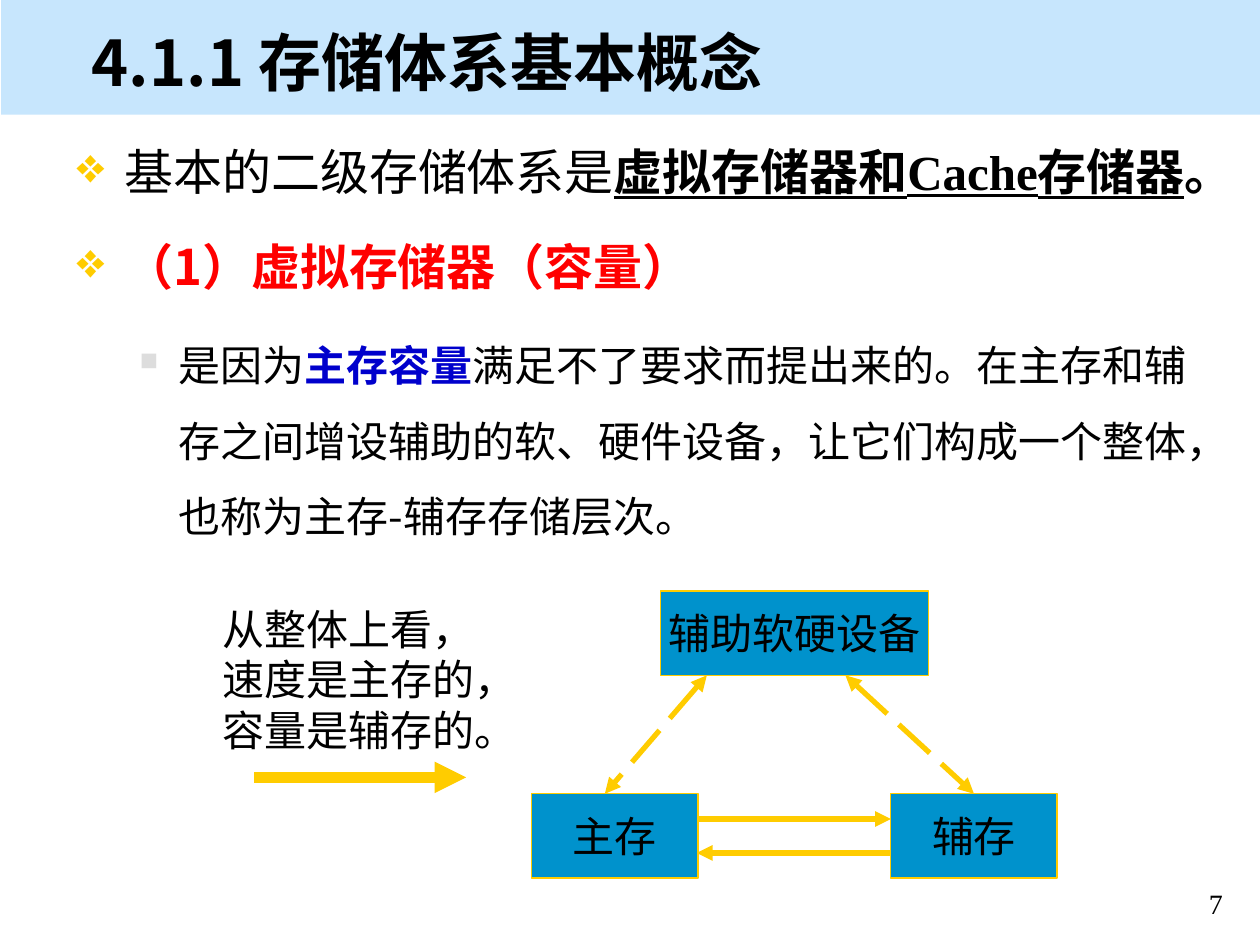
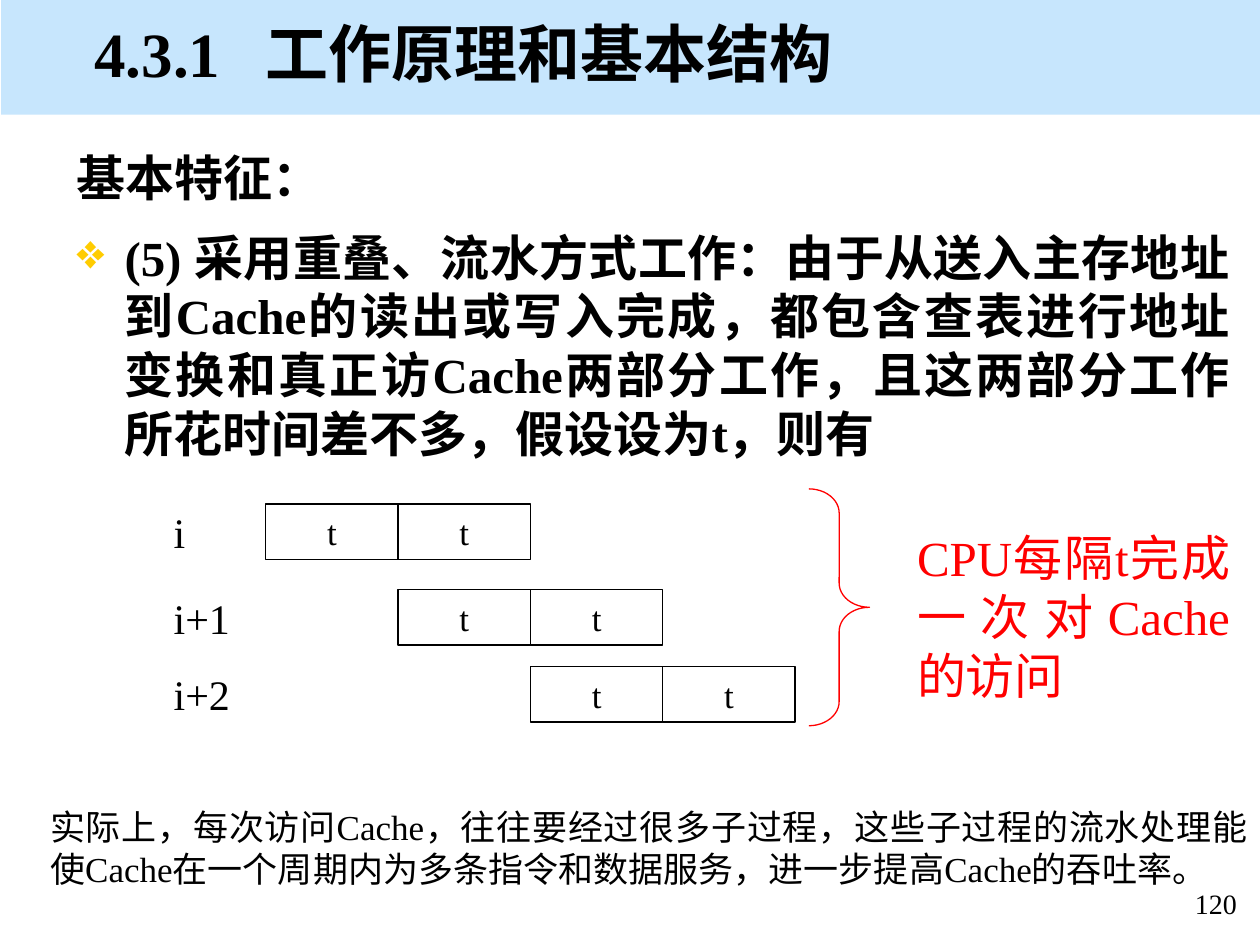
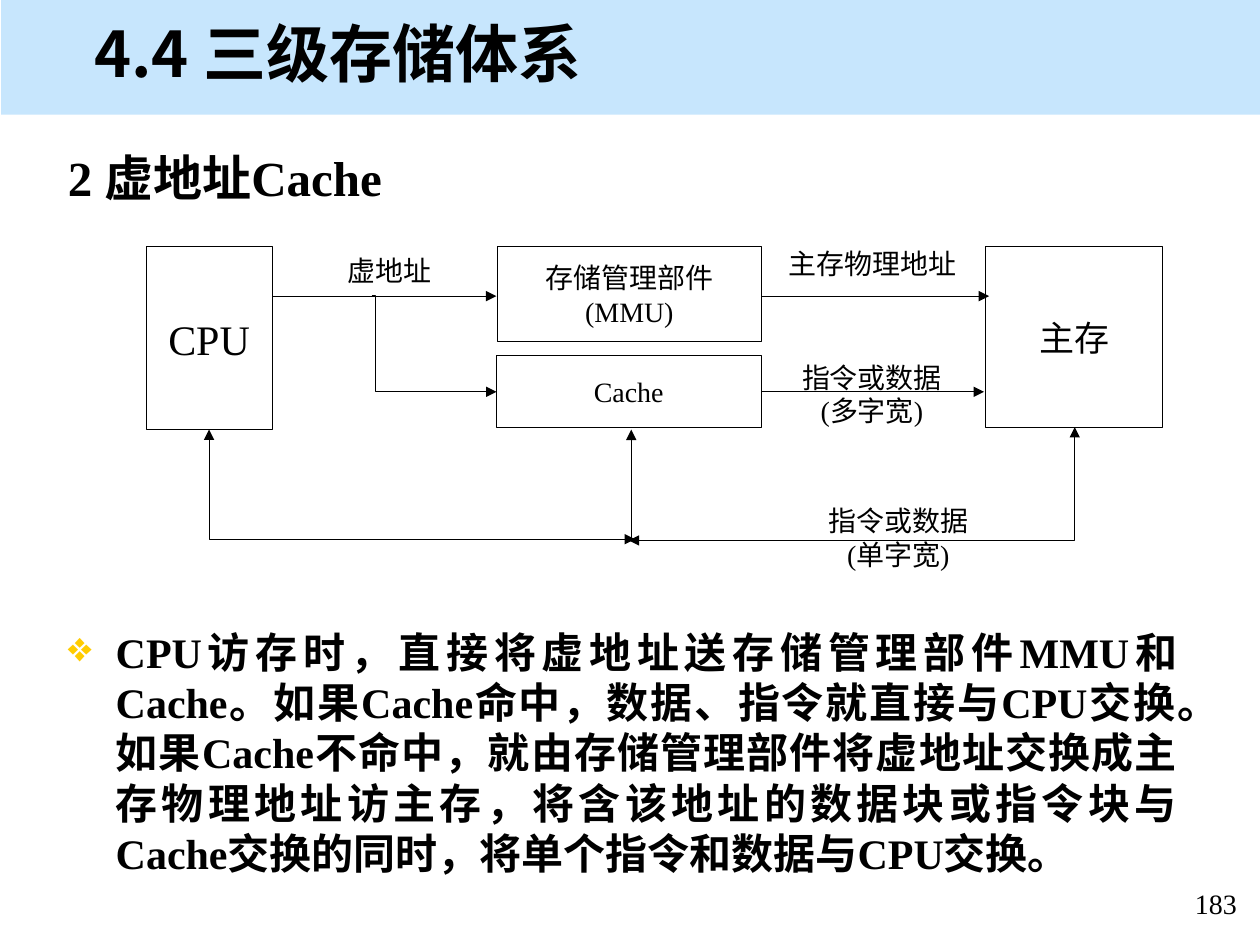
from dataclasses import dataclass
from typing import Optional

from lxml.etree import SubElement
from pptx import Presentation
from pptx.dml.color import RGBColor
from pptx.enum.dml import MSO_LINE_DASH_STYLE as Dash
from pptx.enum.shapes import MSO_CONNECTOR as Connector
from pptx.enum.shapes import MSO_SHAPE as Preset
from pptx.enum.text import MSO_ANCHOR as Anchor
from pptx.enum.text import PP_ALIGN as Align
from pptx.oxml.ns import qn
from pptx.util import Inches, Pt

BLACK = RGBColor(0, 0, 0)
RED = RGBColor(0xFF, 0, 0)
BLUE = RGBColor(0, 0, 0xCC)
GOLD = RGBColor(0xFF, 0xCC, 0)
GREY = RGBColor(0xDD, 0xDD, 0xDD)
BAND = RGBColor(0xC7, 0xE6, 0xFD)
TEAL = RGBColor(0, 0x92, 0xCC)

SERIF = "Times New Roman"
SANS = "Noto Sans CJK SC"
CABIN = "Cabin"
LINE_HEIGHT = 1.2


@dataclass(frozen=True)
class Span:
    text: str
    bold: Optional[bool] = None
    underline: bool = False
    color: Optional[RGBColor] = None
    font: Optional[str] = None


@dataclass(frozen=True)
class Bullet:
    char: str
    color: RGBColor
    left: float
    hanging: float
    percent: int = 100


@dataclass(frozen=True)
class Box:
    left: float
    top: float
    width: float
    height: float
    text: str = ""
    size: int = 16

    @property
    def bounds(self):
        return [Inches(v) for v in (self.left, self.top, self.width, self.height)]


@dataclass(frozen=True)
class Arrow:
    start: tuple[float, float]
    end: tuple[float, float]
    head: bool = False
    tail: bool = True
    dashed: bool = False
    preset: str = "line"
    bend: Optional[float] = None
    weight: Optional[float] = None


DIAMOND = Bullet("❖", GOLD, 0.38, 0.38)
SQUARE = Bullet("■", GREY, 0.81, 0.31, 60)


def add_bullet(paragraph, bullet: Bullet) -> None:
    properties = paragraph._p.get_or_add_pPr()
    properties.set("marL", str(Inches(bullet.left)))
    properties.set("indent", str(-Inches(bullet.hanging)))
    color = SubElement(properties, qn("a:buClr"))
    SubElement(color, qn("a:srgbClr"), val=str(bullet.color))
    SubElement(properties, qn("a:buSzPct"), val=str(bullet.percent * 1000))
    SubElement(properties, qn("a:buChar"), char=bullet.char)


def add_tab_stop(paragraph, position: float) -> None:
    stops = SubElement(paragraph._p.get_or_add_pPr(), qn("a:tabLst"))
    SubElement(stops, qn("a:tab"), pos=str(Inches(position)), algn="l")


def write(paragraph, content, *, size: int, font: str = SERIF, color: RGBColor = BLACK,
          bold: bool = False, align: Align = Align.LEFT, spacing: float = 1,
          before: float = 0, after: float = 0, bullet: Optional[Bullet] = None,
          tab: Optional[float] = None) -> None:
    """Fill a paragraph with a string or with spans that override its format."""
    if bullet:
        add_bullet(paragraph, bullet)
    if tab:
        add_tab_stop(paragraph, tab)
    paragraph.alignment = align
    paragraph.line_spacing = Pt(round(size * LINE_HEIGHT * spacing, 1))
    paragraph.space_before, paragraph.space_after = Pt(before), Pt(after)
    for span in [Span(content)] if isinstance(content, str) else content:
        run = paragraph.add_run()
        run.text = span.text
        run.font.size = Pt(size)
        run.font.bold = bold if span.bold is None else span.bold
        run.font.underline = span.underline
        run.font.color.rgb = span.color or color
        run.font.name = span.font or font
        SubElement(run._r.get_or_add_rPr(), qn("a:ea"), typeface=SANS)


def write_lines(frame, text: str, **text_format) -> None:
    for index, line in enumerate(text.split("\n")):
        paragraph = frame.add_paragraph() if index else frame.paragraphs[0]
        write(paragraph, line, **text_format)


def add_text(slide, box: Box, *, wrap: bool = True, anchor: Anchor = Anchor.TOP, **text_format):
    frame = slide.shapes.add_textbox(*box.bounds).text_frame
    frame.word_wrap = wrap
    frame.vertical_anchor = anchor
    if box.text:
        write_lines(frame, box.text, size=box.size, **text_format)
    return frame


def add_shape(slide, box: Box, *, preset: Preset = Preset.RECTANGLE,
              fill: Optional[RGBColor] = None, line: Optional[RGBColor] = BLACK,
              weight: float = 0.75, font: str = SERIF):
    shape = slide.shapes.add_shape(preset, *box.bounds)
    shape.shadow.inherit = False
    if fill is None:
        shape.fill.background()
    else:
        shape.fill.solid()
        shape.fill.fore_color.rgb = fill
    if line is None:
        shape.line.fill.background()
    else:
        shape.line.color.rgb = line
        shape.line.width = Pt(weight)
    if box.text:
        frame = shape.text_frame
        frame.word_wrap = False
        frame.vertical_anchor = Anchor.MIDDLE
        write_lines(frame, box.text, size=box.size, font=font, align=Align.CENTER)
    return shape


def add_arrow(slide, arrow: Arrow, *, color: RGBColor, weight: float) -> None:
    kind = Connector.STRAIGHT if arrow.preset == "line" else Connector.ELBOW
    ends = [Inches(v) for v in (*arrow.start, *arrow.end)]
    connector = slide.shapes.add_connector(kind, *ends)
    connector.line.color.rgb = color
    connector.line.width = Pt(arrow.weight or weight)
    if arrow.dashed:
        connector.line.dash_style = Dash.LONG_DASH
    properties = connector.element.spPr
    geometry = properties.find(qn("a:prstGeom"))
    geometry.set("prst", arrow.preset)
    if arrow.bend is not None:
        guides = geometry.find(qn("a:avLst"))
        SubElement(guides, qn("a:gd"), name="adj1", fmla=f"val {round(arrow.bend * 100000)}")
    outline = properties.find(qn("a:ln"))
    for shown, tag in ((arrow.head, "a:headEnd"), (arrow.tail, "a:tailEnd")):
        if shown:
            SubElement(outline, qn(tag), type="triangle")
    SubElement(properties, qn("a:effectLst"))


def start_slide(presentation, title: str, number: int, *, left: float = 0.65,
                top: float = 0.08, font: str = SANS, tab: Optional[float] = None):
    """Add a blank slide with its band, title and page number."""
    slide = presentation.slides.add_slide(presentation.slide_layouts[6])
    add_shape(slide, Box(0.01, 0, 9.99, 0.91), fill=BAND, line=None)
    add_text(slide, Box(9.3, 6.99, 0.7, 0.33, str(number)), align=Align.CENTER)
    add_text(slide, Box(left, top, 8.58, 0.67, title, 36), anchor=Anchor.MIDDLE,
             font=font, bold=True, tab=tab)
    return slide


def build_concept_slide(presentation) -> None:
    slide = start_slide(presentation, "4.1.1 存储体系基本概念", 7, left=0.63, top=0.15)
    body = add_text(slide, Box(0.51, 1.12, 9.17, 3.27))
    write(body.paragraphs[0], [
        Span("基本的二级存储体系是"),
        Span("虚拟存储器和", bold=True, underline=True),
        Span("Cache", bold=True, underline=True, font=SERIF),
        Span("存储器", bold=True, underline=True),
        Span("。", bold=True),
    ], size=28, font=SANS, spacing=0.9, after=6, bullet=DIAMOND)
    write(body.add_paragraph(), "（1）虚拟存储器（容量）", size=28, font=SANS, color=RED,
          bold=True, spacing=0.9, before=18, after=6, bullet=DIAMOND)
    write(body.add_paragraph(), [
        Span("是因为"),
        Span("主存容量", bold=True, color=BLUE),
        Span("满足不了要求而提出来的。在主存和辅存之间增设辅助的软、硬件设备，"
             "让它们构成一个整体，也称为主存-辅存存储层次。"),
    ], size=24, font=SANS, spacing=1.5, before=5, after=6, bullet=SQUARE)

    for box in (
        Box(4.22, 6.3, 1.32, 0.67, "主存", 24),
        Box(7.07, 6.3, 1.32, 0.67, "辅存", 24),
        Box(5.24, 4.69, 2.13, 0.67, "辅助软硬设备", 24),
    ):
        add_shape(slide, box, fill=TEAL, line=GOLD, font=CABIN)
    for arrow in (
        Arrow((5.53, 6.5), (7.07, 6.5)),
        Arrow((7.07, 6.77), (5.53, 6.77)),
        Arrow((5.61, 5.36), (4.8, 6.3), head=True, dashed=True),
        Arrow((6.71, 5.36), (7.73, 6.3), head=True, dashed=True),
        Arrow((2.02, 6.17), (3.7, 6.17), weight=6),
    ):
        add_arrow(slide, arrow, color=GOLD, weight=3)
    summary = "从整体上看，\n速度是主存的，\n容量是辅存的。"
    add_text(slide, Box(1.67, 4.74, 2.54, 1.3, summary, 24), wrap=False, font=CABIN)


def build_pipeline_slide(presentation) -> None:
    slide = start_slide(presentation, "4.3.1\t工作原理和基本结构", 120, font=SERIF, tab=1.36)
    body = add_text(slide, Box(0.51, 1.12, 9.35, 2.94))
    write(body.paragraphs[0], "基本特征：", size=28, bold=True)
    write(body.add_paragraph(),
          "(5) 采用重叠、流水方式工作：由于从送入主存地址到Cache的读出或写入完成，"
          "都包含查表进行地址变换和真正访Cache两部分工作，且这两部分工作所花时间差不多，"
          "假设设为t，则有",
          size=28, bold=True, align=Align.JUSTIFY, before=12, bullet=DIAMOND)

    stage_width = 1.05
    for row, (label, top) in enumerate((("i", 4), ("i+1", 4.68), ("i+2", 5.29))):
        for stage in (row, row + 1):
            add_shape(slide, Box(2.11 + stage * stage_width, top, stage_width, 0.44, "t", 20))
        add_text(slide, Box(1.28, top - 0.03, 0.65, 0.5, label, 24))

    brace = add_shape(slide, Box(6.42, 3.88, 0.48, 1.88), preset=Preset.RIGHT_BRACE, line=RED)
    brace.adjustments[0] = 0.4
    add_text(slide, Box(7.18, 4.14, 2.68, 1.51, "CPU每隔t完成一次对Cache的访问", 28),
             color=RED, align=Align.JUSTIFY)
    remark = ("实际上，每次访问Cache，往往要经过很多子过程，这些子过程的流水处理能"
              "使Cache在一个周期内为多条指令和数据服务，进一步提高Cache的吞吐率。")
    add_text(slide, Box(0.3, 6.34, 9.7, 0.77, remark, 20), align=Align.JUSTIFY)


def build_virtual_cache_slide(presentation) -> None:
    slide = start_slide(presentation, "4.4 三级存储体系", 183)
    add_text(slide, Box(0.44, 1.12, 9, 0.6, "2 虚地址Cache", 28), bold=True)
    explanation = (
        "CPU访存时，直接将虚地址送存储管理部件MMU和Cache。如果Cache命中，"
        "数据、指令就直接与CPU交换。如果Cache不命中，就由存储管理部件将虚地址交换"
        "成主存物理地址访主存，将含该地址的数据块或指令块与Cache交换的同时，"
        "将单个指令和数据与CPU交换。")
    add_text(slide, Box(0.44, 4.92, 9, 2.1, explanation, 24), bold=True,
             align=Align.JUSTIFY, bullet=DIAMOND)

    for unit in (
        Box(1.16, 1.96, 1, 1.45, "CPU", 24),
        Box(3.95, 1.96, 2.09, 0.75, "存储管理部件\n(MMU)"),
        Box(3.94, 2.82, 2.1, 0.57, "Cache"),
        Box(7.82, 1.96, 1.41, 1.43, "主存", 20),
    ):
        add_shape(slide, unit, weight=0.5)
    for arrow in (
        Arrow((2.16, 2.35), (3.94, 2.35)),
        Arrow((6.04, 2.35), (7.85, 2.35)),
        Arrow((6.04, 3.11), (7.81, 3.11)),
        Arrow((5.01, 3.41), (5.01, 4.27), head=True, tail=False),
        Arrow((4.99, 4.29), (8.53, 3.39), head=True, preset="bentConnector2"),
        Arrow((5.04, 4.28), (1.66, 3.41), head=True, preset="bentConnector2"),
        Arrow((2.95, 2.35), (3.94, 3.11), preset="bentConnector3", bend=0.03, weight=0.75),
    ):
        add_arrow(slide, arrow, color=BLACK, weight=0.5)
    for label in (
        Box(2.65, 1.96, 0.88, 0.37, "虚地址"),
        Box(6.15, 1.91, 1.55, 0.37, "主存物理地址"),
        Box(5.83, 2.81, 2.18, 0.64, "指令或数据\n(多字宽)"),
        Box(6.45, 3.95, 1.36, 0.64, "指令或数据\n(单字宽)"),
    ):
        add_text(slide, label, wrap=False, align=Align.CENTER)


def main() -> None:
    presentation = Presentation()
    presentation.slide_width, presentation.slide_height = Inches(10), Inches(7.5)
    build_concept_slide(presentation)
    build_pipeline_slide(presentation)
    build_virtual_cache_slide(presentation)
    presentation.save("out.pptx")


if __name__ == "__main__":
    main()
